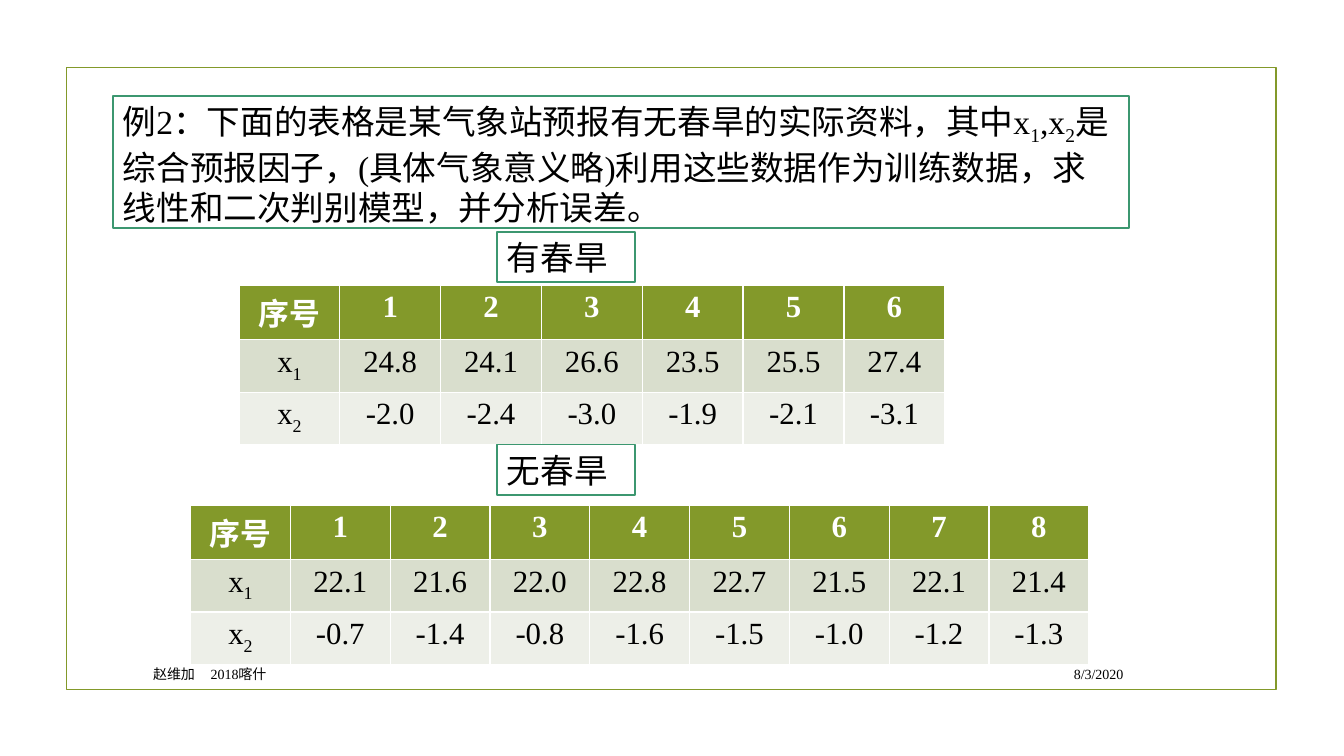
from dataclasses import dataclass

from lxml import etree
from pptx import Presentation
from pptx.dml.color import RGBColor
from pptx.enum.shapes import MSO_SHAPE as Shape
from pptx.enum.text import MSO_ANCHOR as Anchor, PP_ALIGN as Align
from pptx.oxml.ns import qn
from pptx.slide import Slide
from pptx.text.text import _Paragraph as Paragraph
from pptx.util import Inches, Pt

BLACK = RGBColor(0x00, 0x00, 0x00)
WHITE = RGBColor(0xFF, 0xFF, 0xFF)
OLIVE = RGBColor(0x83, 0x99, 0x2A)
TEAL = RGBColor(0x3C, 0x97, 0x70)
BAND_DARK = RGBColor(0xD9, 0xDE, 0xCD)
BAND_LIGHT = RGBColor(0xED, 0xEF, 0xE8)

SERIF = "Times New Roman"
SANS = "Noto Sans CJK JP"
BODY = {"name": SERIF, "size": Pt(24)}
LABEL = {"name": SANS, "size": Pt(24)}
CELL = {"name": SERIF, "size": Pt(22), "bold": False}
HEADER = {"name": SERIF, "size": Pt(22), "bold": True}
HEADER_LABEL = {**HEADER, "name": SANS}
FOOTER = {"name": SERIF, "size": Pt(10)}

PROBLEM = (
    "例2：下面的表格是某气象站预报有无春旱的实际资料，其中x_1_,x_2_"
    "是综合预报因子，(具体气象意义略)利用这些数据作为训练数据，"
    "求线性和二次判别模型，并分析误差。"
)


@dataclass
class Box:
    left: float
    top: float
    width: float
    height: float

    def emu(self) -> tuple:
        return tuple(Inches(v) for v in (self.left, self.top, self.width, self.height))


@dataclass
class Sample:
    title: str
    title_top: float
    left: float
    top: float
    column_width: float
    header_height: float
    x1: list[str]
    x2: list[str]


@dataclass
class FooterText:
    text: str
    box: Box
    align: Align


SAMPLES = [
    Sample("有春旱", 2.3, 2.37, 2.83, 1.0, 0.46,
           ["24.8", "24.1", "26.6", "23.5", "25.5", "27.4"],
           ["-2.0", "-2.4", "-3.0", "-1.9", "-2.1", "-3.1"]),
    Sample("无春旱", 4.41, 1.89, 5.01, 0.99, 0.46,
           ["22.1", "21.6", "22.0", "22.8", "22.7", "21.5", "22.1", "21.4"],
           ["-0.7", "-1.4", "-0.8", "-1.6", "-1.5", "-1.0", "-1.2", "-1.3"]),
]
FOOTERS = [
    FooterText("8/3/2020", Box(9.49, 6.53, 1.75, 0.31), Align.RIGHT),
    FooterText("赵维加\t2018喀什", Box(1.42, 6.53, 7.99, 0.31), Align.LEFT),
]


def write(paragraph: Paragraph, text: str, style: dict,
          color: RGBColor = BLACK, align: Align = Align.LEFT) -> None:
    paragraph.alignment = align
    for index, part in enumerate(text.split("_")):
        if not part:
            continue
        run = paragraph.add_run()
        run.text = part
        for name, value in style.items():
            setattr(run.font, name, value)
        run.font.color.rgb = color
        if index % 2:
            run.font._element.set("baseline", "-25000")


def add_frame(slide: Slide, box: Box, color: RGBColor):
    shape = slide.shapes.add_shape(Shape.RECTANGLE, *box.emu())
    shape.shadow.inherit = False
    shape.fill.solid()
    shape.fill.fore_color.rgb = WHITE
    shape.line.color.rgb = color
    shape.line.width = Pt(1.25)
    return shape


def add_text_frame(slide: Slide, box: Box, text: str, style: dict) -> None:
    frame = add_frame(slide, box, TEAL).text_frame
    frame.word_wrap = True
    frame.vertical_anchor = Anchor.TOP
    write(frame.paragraphs[0], text, style)


def add_sample(slide: Slide, sample: Sample) -> None:
    numbers = [str(n + 1) for n in range(len(sample.x1))]
    rows = [["序号", *numbers], ["x_1_", *sample.x1], ["x_2_", *sample.x2]]
    heights = [sample.header_height, 0.52, 0.52]
    columns = len(rows[0])
    box = Box(sample.left, sample.top, sample.column_width * columns, sum(heights))
    table = slide.shapes.add_table(len(rows), columns, *box.emu()).table
    for column in table.columns:
        column.width = Inches(sample.column_width)
    fills = [OLIVE, BAND_DARK, BAND_LIGHT]
    for r, (texts, height, fill) in enumerate(zip(rows, heights, fills)):
        table.rows[r].height = Inches(height)
        for c, text in enumerate(texts):
            cell = table.cell(r, c)
            cell.fill.solid()
            cell.fill.fore_color.rgb = fill
            style = CELL if r else HEADER if c else HEADER_LABEL
            write(cell.text_frame.paragraphs[0], text, style,
                  CELL and (BLACK if r else WHITE), Align.CENTER)
    add_text_frame(slide, Box(4.93, sample.title_top, 1.37, 0.5), sample.title, LABEL)


def add_footer(slide: Slide, footer: FooterText) -> None:
    frame = slide.shapes.add_textbox(*footer.box.emu()).text_frame
    frame.word_wrap = True
    frame.vertical_anchor = Anchor.MIDDLE
    paragraph = frame.paragraphs[0]
    if "\t" in footer.text:
        properties = paragraph._p.get_or_add_pPr()
        tabs = etree.SubElement(properties, qn("a:tabLst"))
        etree.SubElement(tabs, qn("a:tab"), pos=str(Inches(0.57)), algn="l")
    write(paragraph, footer.text, FOOTER, align=footer.align)


def main() -> None:
    presentation = Presentation()
    presentation.slide_width = Inches(13.33)
    presentation.slide_height = Inches(7.5)
    slide = presentation.slides.add_slide(presentation.slide_layouts[6])
    add_frame(slide, Box(0.66, 0.67, 12, 6.17), OLIVE)
    add_text_frame(slide, Box(1.12, 0.95, 10.08, 1.31), PROBLEM, BODY)
    for sample in SAMPLES:
        add_sample(slide, sample)
    for footer in FOOTERS:
        add_footer(slide, footer)
    presentation.save("out.pptx")


if __name__ == "__main__":
    main()
